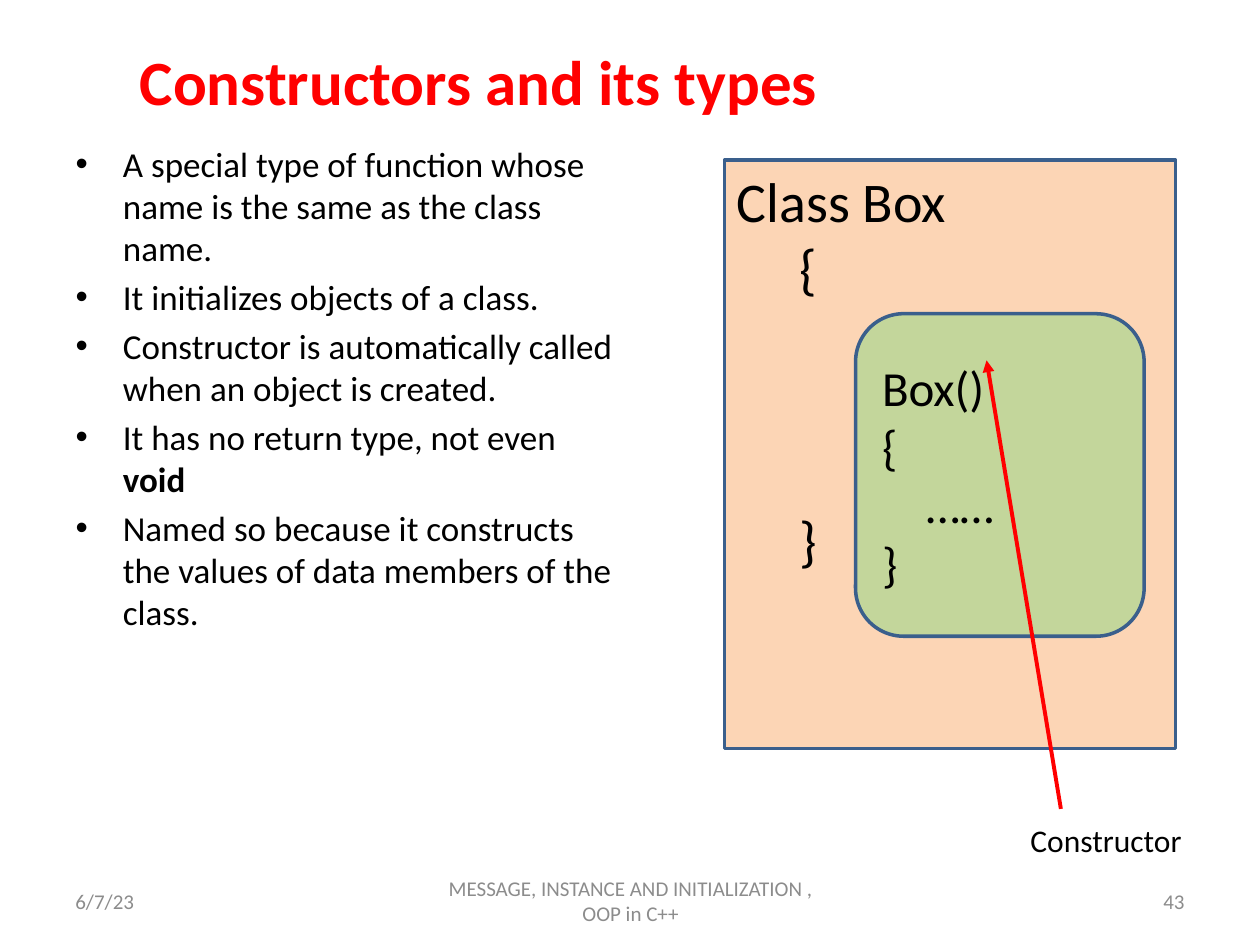
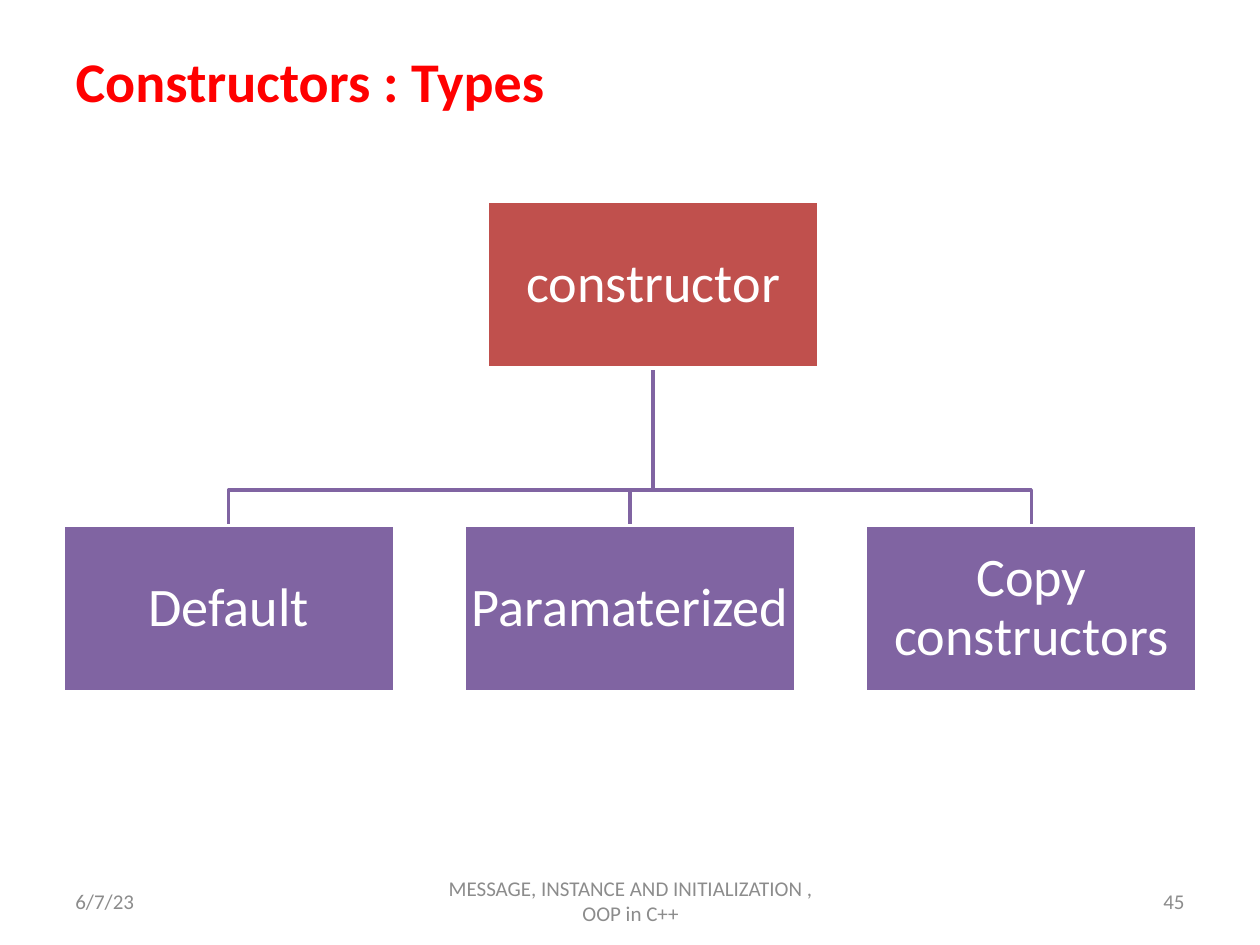
import pptx
import pptx.dml.color
import pptx.enum.shapes
import pptx.enum.text
import pptx.oxml
import pptx.oxml.ns
import pptx.util
from pptx.util import Inches

ALIGN = pptx.enum.text.PP_ALIGN
ANCHOR = pptx.enum.text.MSO_ANCHOR
SHAPE = pptx.enum.shapes.MSO_SHAPE

THEME = {
    "font": "Calibri",
    "colors": {
        name: pptx.dml.color.RGBColor.from_string(value)
        for name, value in {
            "black": "000000", "white": "FFFFFF", "red": "FF0000", "gray": "8C8C8C",
            "peach": "FCD5B5", "green": "C3D69B", "outline": "3A5F8C",
            "root": "C0504D", "branch": "8064A2",
        }.items()
    },
    "sizes": {"title": 36, "subtitle": 32, "body": 20, "footer": 12, "class": 32,
              "method": 28, "label": 18, "node": 31},
}
COLORS = THEME["colors"]


def write(box, lines, size, color="black", align=ALIGN.LEFT, bold=None, indents=(),
          line_spacing=None, **frame_format):
    """Fill a box with lines, each a list of (text, bold) spans or a plain string."""
    frame = box.text_frame
    frame_format = {"word_wrap": True, "auto_size": pptx.enum.text.MSO_AUTO_SIZE.NONE,
                    **frame_format}
    for name, value in frame_format.items():
        setattr(frame, name, value)
    for index, line in enumerate(lines):
        para = frame.paragraphs[0] if index == 0 else frame.add_paragraph()
        para.alignment = align
        if line_spacing:
            para.line_spacing = line_spacing
        if index < len(indents) and indents[index]:
            para._p.get_or_add_pPr().set("marL", str(Inches(indents[index])))
        for text, span_bold in [(line, bold)] if isinstance(line, str) else line:
            span = para.add_run()
            span.text = text
            span_format = {"name": THEME["font"], "bold": span_bold,
                           "size": pptx.util.Pt(THEME["sizes"][size])}
            for name, value in span_format.items():
                setattr(span.font, name, value)
            span.font.color.rgb = COLORS[color]


def add_box(page, kind, place, fill, line):
    """Add a flat preset shape with a 2 pt outline."""
    box = page.shapes.add_shape(kind, *map(Inches, place))
    box.shadow.inherit = False
    box.fill.solid()
    box.fill.fore_color.rgb = COLORS[fill]
    box.line.color.rgb = COLORS[line]
    box.line.width = pptx.util.Pt(2)
    return box


deck = pptx.Presentation()
deck.slide_width, deck.slide_height = Inches(10), Inches(7.5)

# Titles and footers on both slides
FOOTER_TOP, FOOTER_HEIGHT = 6.95, 0.4
pages = []
for layout, title, title_size, title_indent, number in [
    (1, "Constructors and its types", "title", 0.51, "43"),
    (5, "Constructors : Types", "subtitle", 0, "45"),
]:
    page = deck.slides.add_slide(deck.slide_layouts[layout])
    pages.append(page)
    heading = page.shapes.title
    heading.left, heading.top, heading.width, heading.height = map(Inches, (0.5, 0.3, 9, 0.67))
    write(heading, [title], title_size, "red", bold=True, indents=[title_indent],
          vertical_anchor=ANCHOR.MIDDLE)
    for text, left, width, align in [
        ("6/7/23", 0.5, 2.33, ALIGN.LEFT),
        ("MESSAGE, INSTANCE AND INITIALIZATION , OOP in C++", 3.42, 3.17, ALIGN.CENTER),
        (number, 7.17, 2.33, ALIGN.RIGHT),
    ]:
        footer = page.shapes.add_textbox(*map(Inches, (left, FOOTER_TOP, width, FOOTER_HEIGHT)))
        write(footer, [text], "footer", "gray", align, vertical_anchor=ANCHOR.MIDDLE)
intro_page, types_page = pages

# Slide 1: facts about constructors
facts = intro_page.placeholders[1]
facts.left, facts.top, facts.width, facts.height = map(Inches, (0.5, 1.08, 4.5, 5.62))
write(facts, [
    "A special type of function whose name is the same as the class name.",
    "It initializes objects of a class.",
    "Constructor is automatically called when an object is created.",
    [("It has no return type, not even ", None), ("void", True)],
    "Named so because it constructs the values of data members of the class.",
], "body")

# Slide 1: class with its constructor inside
class_box = add_box(intro_page, SHAPE.RECTANGLE, (5.75, 1.27, 3.58, 4.67), "peach", "outline")
write(class_box, ["Class Box", "{", "}"], "class", indents=[0, 0.5, 0.5],
      vertical_anchor=ANCHOR.TOP)
class_box.text_frame.paragraphs[2].space_before = pptx.util.Pt(117)

method_box = add_box(intro_page, SHAPE.ROUNDED_RECTANGLE, (6.79, 2.49, 2.29, 2.56),
                     "green", "outline")
write(method_box, ["Box()", "{", "……", "}"], "method", indents=[0, 0, 0.35],
      vertical_anchor=ANCHOR.MIDDLE)

# Slide 1: arrow from the label to the constructor
arrow = intro_page.shapes.add_connector(
    pptx.enum.shapes.MSO_CONNECTOR.STRAIGHT, *map(Inches, (8.42, 6.42, 7.83, 2.86)))
arrow.line.color.rgb = COLORS["red"]
arrow.line.width = pptx.util.Pt(2.25)
arrow_end = pptx.oxml.parse_xml(
    f'<a:tailEnd {pptx.oxml.ns.nsdecls("a")} type="triangle"/>')
arrow.line._get_or_add_ln().append(arrow_end)
arrow._element.spPr.append(
    pptx.oxml.parse_xml(f'<a:effectLst {pptx.oxml.ns.nsdecls("a")}/>'))

label = intro_page.shapes.add_textbox(*map(Inches, (8.08, 6.47, 1.42, 0.4)))
write(label, ["Constructor"], "label")

# Slide 2: tree of constructor types
NODE_WIDTH, NODE_HEIGHT = 2.63, 1.32
ROOT_LEFT, ROOT_TOP = 3.87, 1.6
BRANCH_LEFT, BRANCH_TOP, BRANCH_STEP = 0.5, 4.17, 3.185
BEND_TOP = 3.89
root_middle, root_bottom = ROOT_LEFT + NODE_WIDTH / 2, ROOT_TOP + NODE_HEIGHT

nodes = [("constructor", ROOT_LEFT, ROOT_TOP, "root")]
for index, name in enumerate(["Default", "Paramaterized", "Copy constructors"]):
    left = BRANCH_LEFT + index * BRANCH_STEP
    nodes.append((name, left, BRANCH_TOP, "branch"))
    middle = left + NODE_WIDTH / 2
    builder = types_page.shapes.build_freeform(Inches(root_middle), Inches(root_bottom))
    builder.add_line_segments(
        [(Inches(x), Inches(y)) for x, y in
         [(root_middle, BEND_TOP), (middle, BEND_TOP), (middle, BRANCH_TOP)]],
        close=False)
    elbow = builder.convert_to_shape()
    elbow.shadow.inherit = False
    elbow.fill.background()
    elbow.line.color.rgb = COLORS["branch"]
    elbow.line.width = pptx.util.Pt(2)

NODE_MARGINS = {f"margin_{side}": Inches(0.02) for side in ("left", "top", "right", "bottom")}
for name, left, top, fill in nodes:
    node = add_box(types_page, SHAPE.RECTANGLE, (left, top, NODE_WIDTH, NODE_HEIGHT),
                   fill, "white")
    write(node, [name], "node", "white", ALIGN.CENTER, line_spacing=0.9,
          vertical_anchor=ANCHOR.MIDDLE, **NODE_MARGINS)

deck.save("out.pptx")
